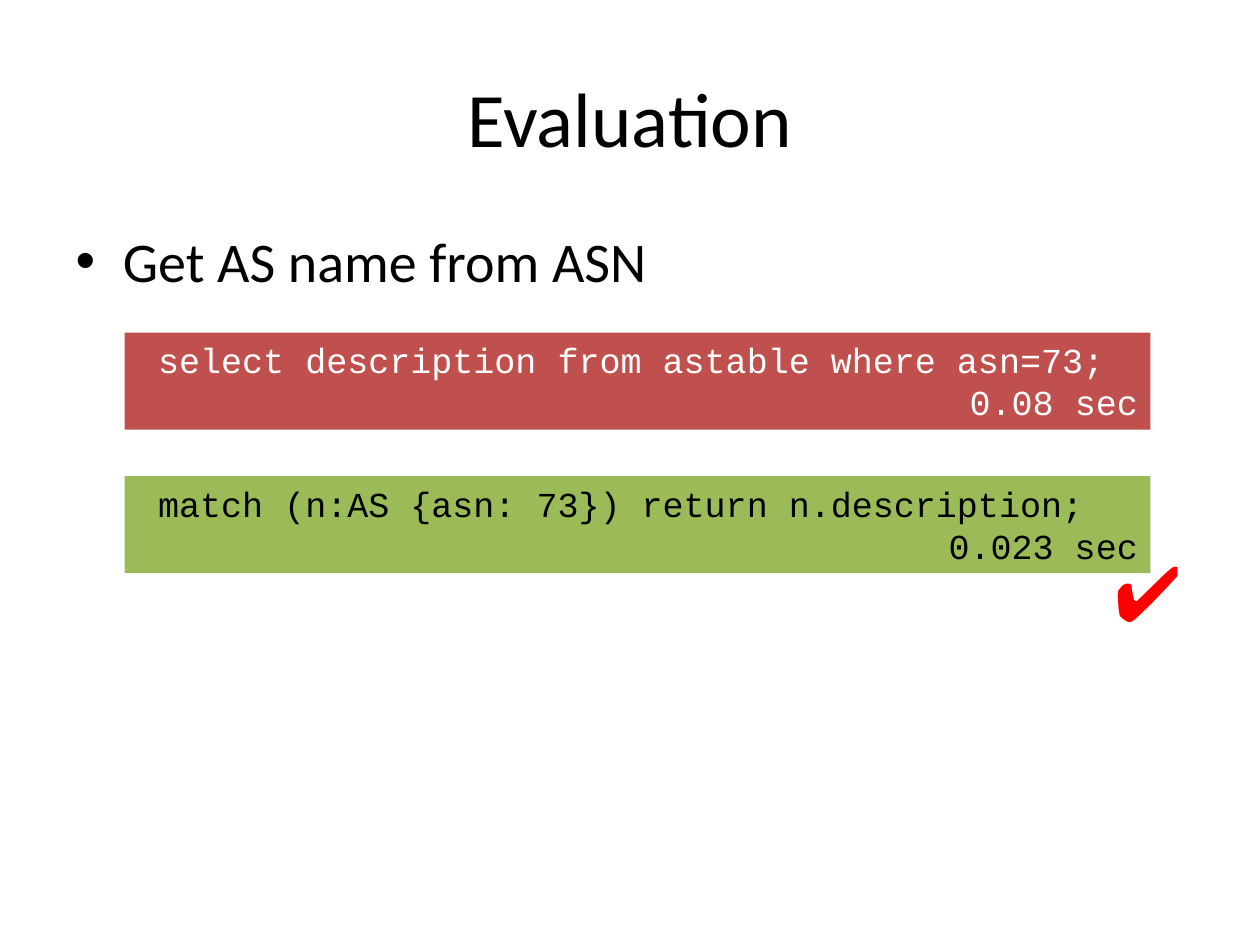
"""Build the evaluation slide comparing two AS name queries."""
from dataclasses import dataclass

from pptx import Presentation
from pptx.dml.color import RGBColor
from pptx.enum.shapes import MSO_SHAPE
from pptx.enum.text import MSO_ANCHOR, PP_ALIGN
from pptx.slide import Slide
from pptx.text.text import TextFrame
from pptx.util import Inches, Pt

RECTANGLE = MSO_SHAPE.RECTANGLE
TOP = MSO_ANCHOR.TOP
LEFT, RIGHT = PP_ALIGN.LEFT, PP_ALIGN.RIGHT

BLACK = RGBColor(0x00, 0x00, 0x00)
WHITE = RGBColor(0xFF, 0xFF, 0xFF)
RED = RGBColor(0xFF, 0x00, 0x00)
BRICK = RGBColor(0xC0, 0x50, 0x4D)
GREEN = RGBColor(0x9B, 0xBB, 0x59)

FIRST_TOP, QUERY_STEP = 2.64, 1.14


@dataclass(frozen=True)
class Query:
    code: str
    duration: str
    fill: RGBColor
    ink: RGBColor


QUERIES = (
    Query(" select description from astable where asn=73;", "0.08 sec", BRICK, WHITE),
    Query(" match (n:AS {asn: 73}) return n.description;", "0.023 sec", GREEN, BLACK),
)


def format_text(frame: TextFrame, font: str, size: int, color: RGBColor) -> None:
    for paragraph in frame.paragraphs:
        for run in paragraph.runs:
            run.font.name = font
            run.font.size = Pt(size)
            run.font.color.rgb = color


def fill_placeholder(slide: Slide, index: int, text: str, size: int,
                     top: float, height: float) -> None:
    placeholder = slide.placeholders[index]
    placeholder.left, placeholder.top = Inches(0.5), Inches(top)
    placeholder.width, placeholder.height = Inches(9), Inches(height)
    placeholder.text_frame.text = text
    format_text(placeholder.text_frame, "Calibri", size, BLACK)


def draw_query(slide: Slide, query: Query, top: float) -> None:
    panel = slide.shapes.add_shape(
        RECTANGLE, Inches(0.99), Inches(top), Inches(8.14), Inches(0.77))
    panel.shadow.inherit = False
    panel.fill.solid()
    panel.fill.fore_color.rgb = query.fill
    panel.line.fill.background()
    frame = panel.text_frame
    frame.word_wrap = True
    frame.vertical_anchor = TOP
    frame.text = f"{query.code}\n{query.duration}"
    for paragraph, alignment in zip(frame.paragraphs, (LEFT, RIGHT)):
        paragraph.alignment = alignment
    format_text(frame, "Courier New", 20, query.ink)


def draw_check_mark(slide: Slide) -> None:
    check_mark = slide.shapes.add_textbox(
        Inches(8.75), Inches(4.27), Inches(0.75), Inches(0.84))
    check_mark.text_frame.word_wrap = True
    check_mark.text_frame.text = "✔"
    format_text(check_mark.text_frame, "Arial", 44, RED)


def main() -> None:
    presentation = Presentation()
    presentation.slide_width = Inches(10)
    presentation.slide_height = Inches(7.5)
    slide = presentation.slides.add_slide(presentation.slide_layouts[1])
    fill_placeholder(slide, 0, "Evaluation", 44, top=0.3, height=1.25)
    fill_placeholder(slide, 1, "Get AS name from ASN", 32, top=1.75, height=0.81)
    for row, query in enumerate(QUERIES):
        draw_query(slide, query, FIRST_TOP + row * QUERY_STEP)
    draw_check_mark(slide)
    presentation.save("out.pptx")


if __name__ == "__main__":
    main()
